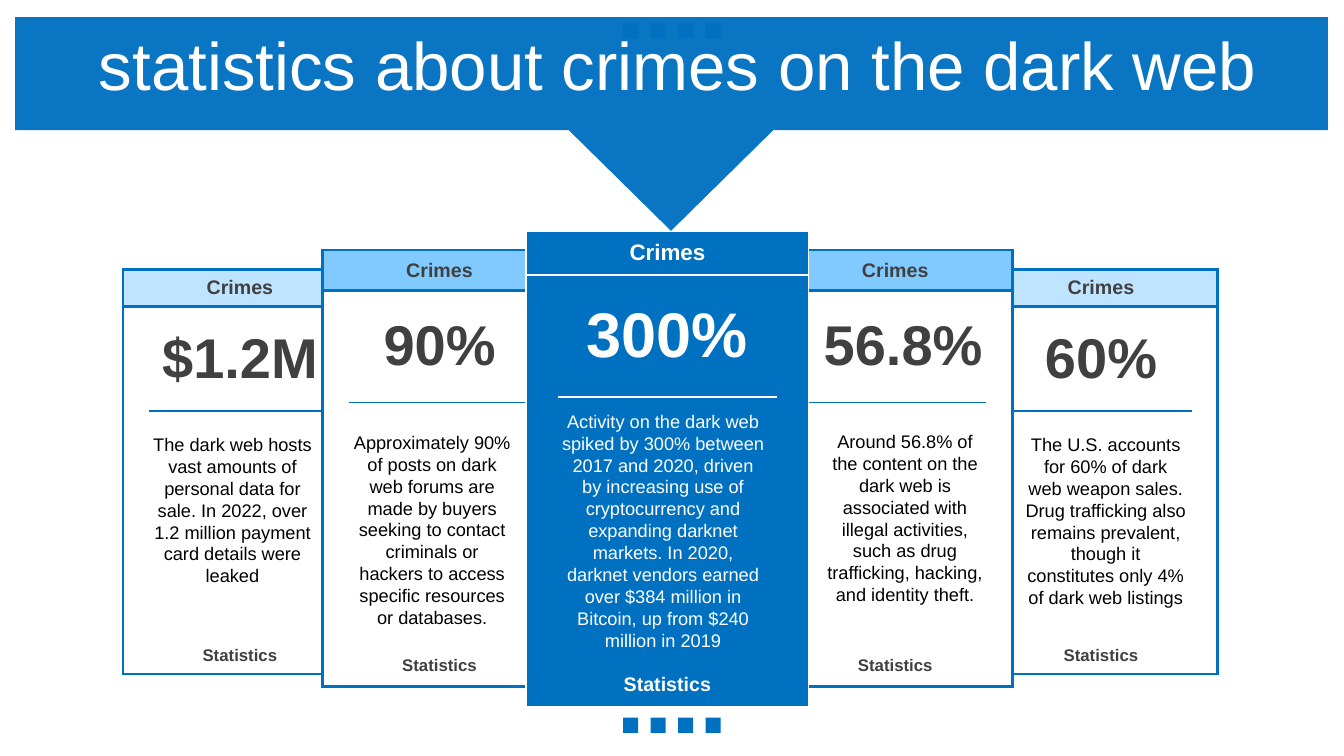
from collections import namedtuple
from dataclasses import dataclass

from lxml import etree
from pptx import Presentation
from pptx.dml.color import RGBColor
from pptx.enum.shapes import MSO_SHAPE
from pptx.enum.text import MSO_ANCHOR, MSO_AUTO_SIZE, PP_ALIGN
from pptx.oxml.ns import qn
from pptx.util import Inches, Pt

RECTANGLE, TRIANGLE = MSO_SHAPE.RECTANGLE, MSO_SHAPE.ISOSCELES_TRIANGLE
TOP, MIDDLE, CENTER = MSO_ANCHOR.TOP, MSO_ANCHOR.MIDDLE, PP_ALIGN.CENTER
GROW, FIXED = MSO_AUTO_SIZE.SHAPE_TO_FIT_TEXT, MSO_AUTO_SIZE.NONE
PLAIN_TABLE_STYLE = "{2D5ABB26-0587-4C30-8999-92F81FD0307C}"
TITLE_ONLY = 5
LAST_ROW = 8
FIGURE_ROW_RATIO = 2.76


@dataclass(frozen=True)
class Theme:
    """Colours, font and type sizes of the slide."""
    font: str = "Arial"
    blue: str = "0070C0"
    mid_blue: str = "80CAFF"
    pale_blue: str = "BFE4FF"
    white: str = "FFFFFF"
    black: str = "000000"
    gray: str = "404040"
    title: int = 48
    body: int = 13
    side_card: tuple = (14, 40, 12)
    central_card: tuple = (16, 45, 14)


THEME = Theme()
CardStyle = namedtuple("CardStyle", "top width height header_fill fill border ink "
                       "body_ink sizes border_width margins")
SIDE = dict(width=2.32, fill=THEME.white, border=THEME.blue, ink=THEME.gray,
            body_ink=THEME.black, sizes=THEME.side_card, border_width=2.25,
            margins=(0.08, 0.04))
OUTER = CardStyle(top=2.67, height=4.02, header_fill=THEME.pale_blue, **SIDE)
INNER = CardStyle(top=2.48, height=4.33, header_fill=THEME.mid_blue, **SIDE)
CENTRAL = CardStyle(2.29, 2.8, 4.72, THEME.blue, THEME.blue, THEME.white, THEME.white,
                    THEME.white, THEME.central_card, 1.5, (0.09, 0.05))

CARDS = [
    (OUTER, 9.76, "60%", (10.07, 4.25, 1.79, 1.85),
     "The U.S. accounts for 60% of dark web weapon sales. Drug trafficking also "
     "remains prevalent, though it constitutes only 4% of dark web listings"),
    (OUTER, 1.22, "$1.2M", (1.41, 4.25, 1.79, 1.63),
     "The dark web hosts vast amounts of personal data for sale. In 2022, over "
     "1.2 million payment card details were leaked"),
    (INNER, 7.72, " 56.8%", (8.08, 4.22, 1.79, 1.85),
     "Around 56.8% of the content on the dark web is associated with illegal "
     "activities, such as drug trafficking, hacking, and identity theft."),
    (INNER, 3.2, "90%", (3.39, 4.23, 1.79, 2.07),
     "Approximately 90% of posts on dark web forums are made by buyers seeking "
     "to contact criminals or hackers to access specific resources or databases."),
    (CENTRAL, 5.22, "300%", (5.47, 4.02, 2.21, 2.51),
     "Activity on the dark web spiked by 300% between 2017 and 2020, driven by "
     "increasing use of cryptocurrency and expanding darknet markets. In 2020, darknet "
     "vendors earned over $384 million in Bitcoin, up from $240 million in 2019"),
]


def set_all(target, **values):
    """Set each named attribute on target."""
    for name, value in values.items():
        setattr(target, name, value)


def paint(fill, color):
    """Give a fill one solid colour."""
    fill.solid()
    fill.fore_color.rgb = RGBColor.from_string(color)


def write(frame, text, size, color, bold=False):
    """Write one centred paragraph into a text frame."""
    para = frame.paragraphs[0]
    para.alignment = CENTER
    span = para.add_run()
    span.text = text
    set_all(span.font, name=THEME.font, size=Pt(size), bold=bold)
    span.font.color.rgb = RGBColor.from_string(color)
    return para


def add_block(page, kind, box, opacity=100, rotation=0):
    """Add a plain blue shape without outline."""
    block = page.shapes.add_shape(kind, *map(Inches, box))
    block.shadow.inherit = False
    block.rotation = rotation
    block.line.fill.background()
    paint(block.fill, THEME.blue)
    if opacity < 100:
        color = block.element.spPr.find(".//" + qn("a:srgbClr"))
        etree.SubElement(color, qn("a:alpha"), val=str(opacity * 1000))


def set_border(cell, side, color, width):
    """Draw one side (L, R, T or B) of a table cell, or clear it at zero width."""
    line = etree.SubElement(cell._tc.get_or_add_tcPr(), qn("a:ln" + side), w=str(Pt(width)))
    if width:
        fill = etree.SubElement(line, qn("a:solidFill"))
        etree.SubElement(fill, qn("a:srgbClr"), val=color)
    else:
        etree.SubElement(line, qn("a:noFill"))


def cell_borders(outline, row, column):
    """Return the width of all four borders of a card cell, by side."""
    header_line, divider = 2.25, 1.5 if column == 1 else 0
    merged = row in (0, 1, LAST_ROW)
    return {"L": outline if column == 0 else 0,
            "R": outline if column == 2 or (merged and column == 0) else 0,
            "T": {0: outline, 1: header_line, 2: divider}.get(row, 0),
            "B": {0: header_line, LAST_ROW: outline}.get(row, 0)}


def add_card(page, style, left, figure):
    """Add a card as a table with header, figure, divider and footer."""
    box = map(Inches, (left, style.top, style.width, style.height))
    table = page.shapes.add_table(LAST_ROW + 1, 3, *box).table
    table._tbl.tblPr.find(qn("a:tableStyleId")).text = PLAIN_TABLE_STYLE
    set_all(table, first_row=False, horz_banding=False)
    edge = style.width * 0.112
    for column, width in zip(table.columns, (edge, style.width - 2 * edge, edge)):
        column.width = Inches(width)
    unit = style.height / (LAST_ROW + FIGURE_ROW_RATIO)
    for index, row in enumerate(table.rows):
        row.height = Inches(unit * (FIGURE_ROW_RATIO if index == 1 else 1))
        for column, cell in enumerate(row.cells):
            for side, width in cell_borders(style.border_width, index, column).items():
                set_border(cell, side, style.border, width)
            paint(cell.fill, style.header_fill if index == 0 else style.fill)
            set_all(cell, margin_left=0, margin_right=0, margin_top=0, margin_bottom=0)
    across, down = map(Inches, style.margins)
    labels = {0: "Crimes", 1: figure, LAST_ROW: "Statistics"}
    for (index, text), size in zip(labels.items(), style.sizes):
        cell = table.cell(index, 0)
        cell.merge(table.cell(index, 2))
        set_all(cell, vertical_anchor=MIDDLE, margin_left=across, margin_right=across,
                margin_top=down, margin_bottom=down)
        write(cell.text_frame, text, size, style.ink, bold=True)


def add_body(page, box, text, color):
    """Add the explanatory text of a card."""
    frame = page.shapes.add_textbox(*map(Inches, box)).text_frame
    set_all(frame, word_wrap=True, auto_size=GROW)
    write(frame, text, THEME.body, color)


def place_title(page, text):
    """Format the title placeholder and bring it in front of the banner."""
    title = page.shapes.title
    set_all(title, left=Inches(0.12), top=Inches(0.27),
            width=Inches(13.21), height=Inches(0.83))
    set_all(title.text_frame, word_wrap=True, vertical_anchor=TOP, auto_size=FIXED)
    para = write(title.text_frame, text, THEME.title, THEME.white)
    set_all(para, line_spacing=0.9, space_before=Pt(0))
    title.element.getparent().append(title.element)


def main():
    """Build the slide and save it."""
    deck = Presentation()
    set_all(deck, slide_width=Inches(13.33), slide_height=Inches(7.5))
    page = deck.slides.add_slide(deck.slide_layouts[TITLE_ONLY])
    for top in (0.23, 7.12):
        for index in range(4):
            add_block(page, RECTANGLE, (6.18 + index * 0.273, top, 0.15, 0.15))
    for style, left, figure, body_box, body in CARDS:
        add_card(page, style, left, figure)
        add_body(page, body_box, body, style.body_ink)
    add_block(page, RECTANGLE, (0.15, 0.17, 13.02, 1.12), opacity=96)
    add_block(page, TRIANGLE, (5.64, 1.29, 2.03, 1), opacity=96, rotation=180)
    place_title(page, "statistics about crimes on the dark web")
    deck.save("out.pptx")


if __name__ == "__main__":
    main()
